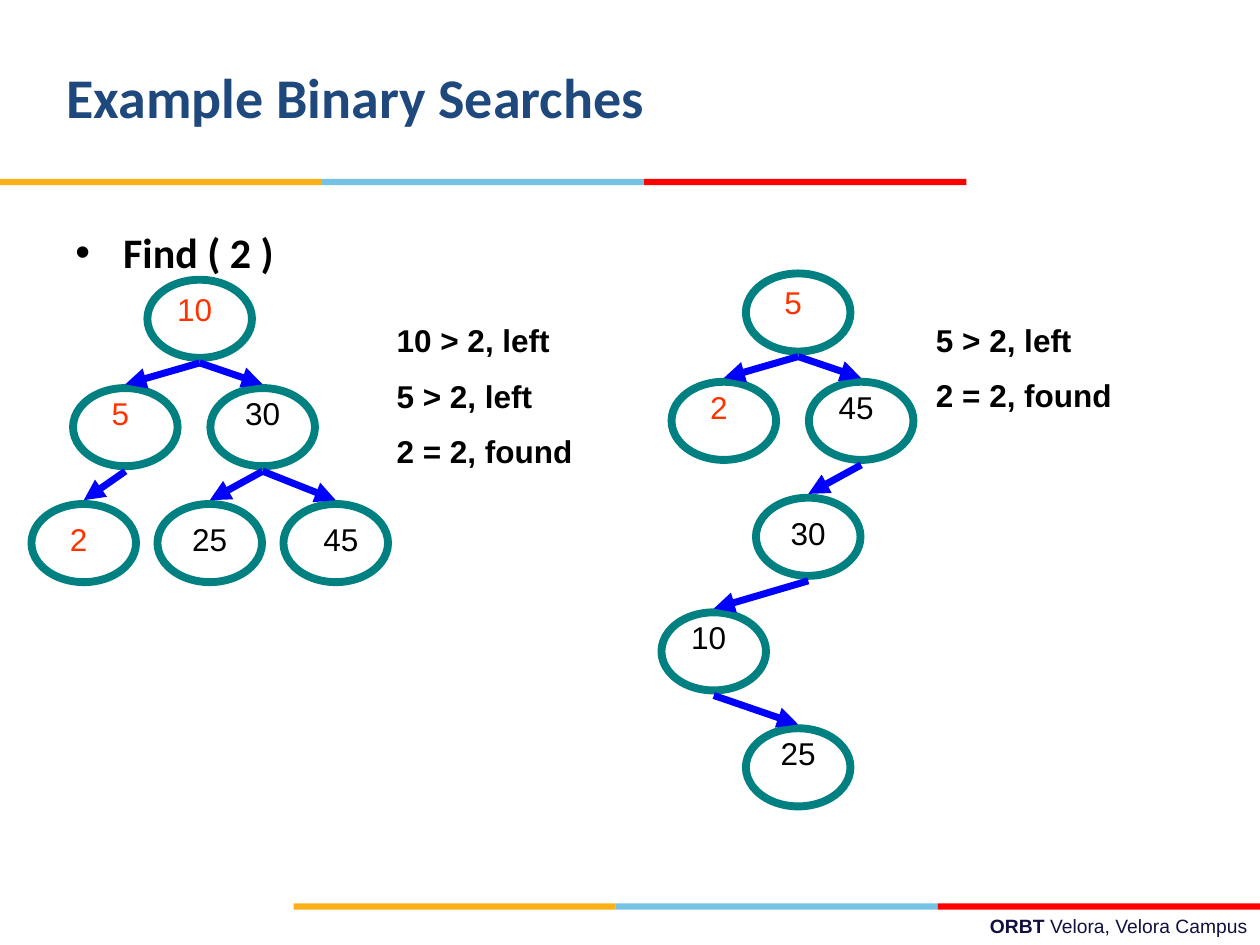
from dataclasses import dataclass

from lxml.etree import SubElement
from pptx import Presentation
from pptx.dml.color import RGBColor
from pptx.enum.shapes import MSO_CONNECTOR, MSO_SHAPE
from pptx.enum.text import MSO_ANCHOR, PP_ALIGN
from pptx.oxml.ns import qn
from pptx.util import Inches, Pt


@dataclass(frozen=True)
class Theme:
    title_color: RGBColor = RGBColor.from_string("1F497D")
    footer_color: RGBColor = RGBColor.from_string("101141")
    text_color: RGBColor = RGBColor.from_string("000000")
    visited_color: RGBColor = RGBColor.from_string("FF3300")
    node_color: RGBColor = RGBColor.from_string("008080")
    edge_color: RGBColor = RGBColor.from_string("0000FF")
    band_colors: tuple = tuple(map(RGBColor.from_string, ("FCB017", "76C2E5", "FF0000")))
    heading_font: str = "Calibri"
    body_font: str = "Arial"
    title_size: int = 32
    bullet_size: int = 24
    body_size: int = 18
    footer_size: int = 11
    node_line: float = 4.5
    edge_line: float = 4


THEME = Theme()
NODE_WIDTH, NODE_HEIGHT = 0.83, 0.62
LEVEL_TOPS = (0, 0.86, 1.78, 2.69, 3.61)
EDGE_START_GAP, EDGE_END_GAP = 0.04, 0.03
LABEL_WIDTH, LABEL_HEIGHT = 0.67, 0.5


@dataclass(frozen=True)
class Node:
    value: str
    left: float
    level: int
    parent: str = ""
    visited: bool = False
    label_shift: tuple = (0, 0)


BALANCED_TREE = (
    Node("10", 0.92, 0, visited=True, label_shift=(-0.04, 0.03)),
    Node("5", 0.33, 1, "10", True, (-0.04, 0)),
    Node("30", 1.42, 1, "10"),
    Node("2", 0, 2, "5", True, (-0.04, 0.08)),
    Node("25", 1, 2, "30", label_shift=(0, 0.08)),
    Node("45", 2, 2, "30", label_shift=(0.04, 0.08)),
)
UNBALANCED_TREE = (
    Node("5", 0.67, 0, visited=True, label_shift=(-0.04, 0.03)),
    Node("2", 0.08, 1, "5", True, (-0.04, 0)),
    Node("45", 1.17, 1, "5", label_shift=(-0.04, 0)),
    Node("30", 0.75, 2, "45", label_shift=(0, 0.08)),
    Node("10", 0, 3, "30", label_shift=(-0.04, 0)),
    Node("25", 0.67, 4, "10"),
)


def add_text(slide, box, lines, *, size=THEME.body_size, font=THEME.body_font,
             color=THEME.text_color, bold=False, align=PP_ALIGN.LEFT,
             anchor=MSO_ANCHOR.TOP, space_after=0):
    shape = slide.shapes.add_textbox(*map(Inches, box))
    frame = shape.text_frame
    frame.word_wrap = True
    frame.vertical_anchor = anchor
    frame.text = "\n".join(lines)
    for paragraph in frame.paragraphs:
        paragraph.alignment = align
        paragraph.space_after = Pt(space_after)
        for run in paragraph.runs:
            run.font.name = font
            run.font.size = Pt(size)
            run.font.bold = bold
            run.font.color.rgb = color
    return frame


def add_title(slide, box):
    add_text(slide, box, ["Example Binary Searches"], size=THEME.title_size,
             font=THEME.heading_font, color=THEME.title_color, bold=True,
             anchor=MSO_ANCHOR.MIDDLE)


def add_bullet(slide, box):
    frame = add_text(slide, box, ["Find ( 2 )"], size=THEME.bullet_size,
                     font=THEME.heading_font, bold=True)
    properties = frame.paragraphs[0]._p.get_or_add_pPr()
    properties.set("marL", str(Inches(0.38)))
    properties.set("indent", str(Inches(-0.38)))
    SubElement(properties, qn("a:buFont"), typeface="Arial")
    SubElement(properties, qn("a:buChar"), char="•")


def add_band(slide, box):
    left, top, width, height = box
    segment = width / len(THEME.band_colors)
    for index, color in enumerate(THEME.band_colors):
        shape = slide.shapes.add_shape(
            MSO_SHAPE.RECTANGLE, Inches(left + index * segment), Inches(top),
            Inches(segment), Inches(height))
        shape.shadow.inherit = False
        shape.fill.solid()
        shape.fill.fore_color.rgb = color
        shape.line.fill.background()


def add_footer(slide, box):
    frame = add_text(slide, box, ["ORBT "], size=THEME.footer_size,
                     color=THEME.footer_color, bold=True, align=PP_ALIGN.RIGHT)
    run = frame.paragraphs[0].add_run()
    run.text = "Velora, Velora Campus"
    run.font.name = THEME.body_font
    run.font.size = Pt(THEME.footer_size)
    run.font.bold = False
    run.font.color.rgb = THEME.footer_color


def add_edge(slide, start, end):
    connector = slide.shapes.add_connector(
        MSO_CONNECTOR.STRAIGHT, *map(Inches, (*start, *end)))
    connector.line.color.rgb = THEME.edge_color
    connector.line.width = Pt(THEME.edge_line)
    SubElement(connector.line._get_or_add_ln(), qn("a:tailEnd"), type="triangle")
    SubElement(connector._element.spPr, qn("a:effectLst"))


def add_tree(slide, left, top, nodes):
    corners = {node.value: (left + node.left, top + LEVEL_TOPS[node.level])
               for node in nodes}
    for x, y in corners.values():
        shape = slide.shapes.add_shape(
            MSO_SHAPE.OVAL, *map(Inches, (x, y, NODE_WIDTH, NODE_HEIGHT)))
        shape.shadow.inherit = False
        shape.fill.background()
        shape.line.color.rgb = THEME.node_color
        shape.line.width = Pt(THEME.node_line)
    for node in nodes:
        x, y = corners[node.value]
        if node.parent:
            parent_x, parent_y = corners[node.parent]
            add_edge(slide,
                     (parent_x + NODE_WIDTH / 2, parent_y + NODE_HEIGHT + EDGE_START_GAP),
                     (x + NODE_WIDTH / 2, y - EDGE_END_GAP))
        shift_x, shift_y = node.label_shift
        add_text(slide,
                 (x + (NODE_WIDTH - LABEL_WIDTH) / 2 + shift_x, y + shift_y,
                  LABEL_WIDTH, LABEL_HEIGHT),
                 [node.value], align=PP_ALIGN.CENTER,
                 color=THEME.visited_color if node.visited else THEME.text_color)


def add_steps(slide, box, steps):
    add_text(slide, box, steps, bold=True, space_after=10)


def main():
    presentation = Presentation()
    presentation.slide_width = Inches(10)
    presentation.slide_height = Inches(7.5)
    slide = presentation.slides.add_slide(presentation.slide_layouts[6])
    add_footer(slide, (3.58, 7.21, 6.42, 0.29))
    add_band(slide, (2.33, 7.17, 7.67, 0.05))
    add_band(slide, (0, 1.42, 7.67, 0.05))
    add_title(slide, (0.43, 0.3, 6.69, 0.93))
    add_bullet(slide, (0.5, 1.75, 9, 4.95))
    add_tree(slide, 0.25, 2.22, BALANCED_TREE)
    add_tree(slide, 5.25, 2.17, UNBALANCED_TREE)
    add_steps(slide, (3.05, 2.5, 2.5, 1.31), ["10 > 2, left", "5 > 2, left", "2 = 2, found"])
    add_steps(slide, (7.33, 2.5, 2.5, 0.86), ["5 > 2, left", "2 = 2, found"])
    presentation.save("out.pptx")


if __name__ == "__main__":
    main()
